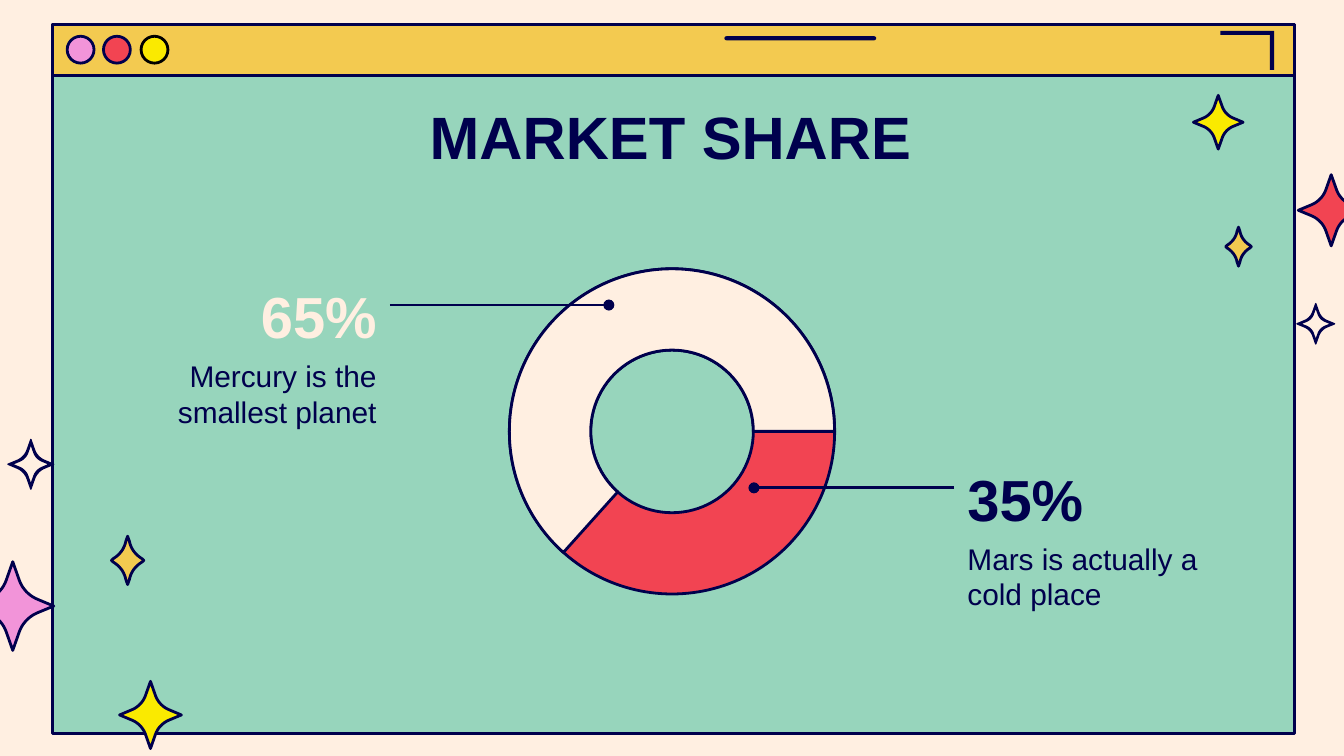
from lxml import etree
from pptx import Presentation
from pptx.dml.color import RGBColor
from pptx.enum.shapes import MSO_CONNECTOR, MSO_SHAPE
from pptx.enum.text import MSO_ANCHOR, PP_ALIGN
from pptx.oxml.ns import qn
from pptx.util import Pt

PX = 9144  # EMU per px, 100 px to the inch
LEFT, CENTER, RIGHT = PP_ALIGN.LEFT, PP_ALIGN.CENTER, PP_ALIGN.RIGHT
TOP = MSO_ANCHOR.TOP
RECTANGLE, OVAL, PILL = MSO_SHAPE.RECTANGLE, MSO_SHAPE.OVAL, MSO_SHAPE.ROUNDED_RECTANGLE
DONUT, BLOCK_ARC = MSO_SHAPE.DONUT, MSO_SHAPE.BLOCK_ARC
STRAIGHT = MSO_CONNECTOR.STRAIGHT

NAVY, CREAM, MINT, GOLD = "00004D", "FFEFE1", "97D5BC", "F3CA50"
RED, YELLOW, PINK, BLACK = "F24452", "FAEA00", "F294D9", "000000"


def rgb(color):
    return RGBColor.from_string(color)


def paint(shape, fill, line=NAVY, width=1.5):
    shape.shadow.inherit = False
    shape.fill.solid()
    shape.fill.fore_color.rgb = rgb(fill)
    if line:
        shape.line.color.rgb = rgb(line)
        shape.line.width = Pt(width)
    else:
        shape.line.fill.background()


# Widescreen slide, 16:9
presentation = Presentation()
presentation.slide_width = 1000 * PX
presentation.slide_height = 1000 * PX * 9 // 16
slide = presentation.slides.add_slide(presentation.slide_layouts[6])
slide.background.fill.solid()
slide.background.fill.fore_color.rgb = rgb(CREAM)
shapes = slide.shapes

# Window, title bar, its pill mark and its three buttons
for kind, left, top, width, height, fill, line in [
    (RECTANGLE, 39, 18, 924, 528, MINT, NAVY),
    (RECTANGLE, 39, 18, 924, 38, GOLD, NAVY),
    (PILL, 539, 27, 113, 3, NAVY, None),
    (OVAL, 50, 27, 20, 20, PINK, NAVY),
    (OVAL, 77, 27, 20, 20, RED, NAVY),
    (OVAL, 105, 27, 20, 20, YELLOW, BLACK),
]:
    shape = shapes.add_shape(kind, left * PX, top * PX, width * PX, height * PX)
    paint(shape, fill, line)
    if kind == PILL:
        shape.adjustments[0] = 0.5

# Corner mark in the title bar
builder = shapes.build_freeform(908, 23, scale=PX)
builder.add_line_segments([(948, 23), (948, 52), (945, 52), (945, 26), (908, 26)])
paint(builder.convert_to_shape(), NAVY, None)

# Ring: the red whole, with the cream share over it
for kind, adjustments, fill in [
    (DONUT, [0.25], RED),
    (BLOCK_ARC, [79.14, 0, 0.25], CREAM),
]:
    ring = shapes.add_shape(kind, 379 * PX, 200 * PX, 242 * PX, 242 * PX)
    for index, value in enumerate(adjustments):
        ring.adjustments[index] = value
    paint(ring, fill)

# Title, percentages and captions
boxes = {}
for text, left, top, width, height, size, color, bold, align in [
    ("MARKET SHARE", 76, 64, 846, 63, 32, NAVY, True, CENTER),
    ("65%", 159, 199, 131, 56, 31, CREAM, True, RIGHT),
    ("Mercury is the smallest planet", 91, 256, 199, 67, 16, NAVY, False, RIGHT),
    ("35%", 710, 335, 131, 56, 31, NAVY, True, LEFT),
    ("Mars is actually a cold place", 710, 392, 199, 67, 16, NAVY, False, LEFT),
]:
    box = shapes.add_textbox(left * PX, top * PX, width * PX, height * PX)
    frame = box.text_frame
    frame.word_wrap = True
    frame.vertical_anchor = TOP
    frame.margin_left = frame.margin_right = 10 * PX
    frame.margin_top = frame.margin_bottom = 10 * PX
    frame.text = text
    paragraph = frame.paragraphs[0]
    paragraph.alignment = align
    font = paragraph.runs[0].font
    font.name, font.size, font.bold = "Arial", Pt(size), bold
    font.color.rgb = rgb(color)
    boxes[text] = box

# Leader lines from each percentage to its share
for label, side, end_x, y in [("65%", 3, 453, 227), ("35%", 1, 561, 363)]:
    leader = shapes.add_connector(STRAIGHT, 0, y * PX, end_x * PX, y * PX)
    leader.begin_connect(boxes[label], side)
    leader.line.color.rgb = rgb(NAVY)
    leader.line.width = Pt(1.5)
    etree.SubElement(leader.line._get_or_add_ln(), qn("a:tailEnd"), type="oval")
    etree.SubElement(leader._element.spPr, qn("a:effectLst"))

# Sparkles: each side is a Bézier between two tips, given in half widths and heights
WIDE = [(0.16, 0.58), (0.24, 0.38), (0.4, 0.23), (0.61, 0.15)]
SLIM = [(0.11, 0.79), (0.22, 0.43), (0.55, 0.21), (0.89, 0.07)]
STEPS = 10
for left, top, width, height, fill, curve, hollow in [
    (912, 169, 19, 29, GOLD, SLIM, False),
    (965, 226, 28, 30, NAVY, WIDE, True),
    (888, 71, 37, 40, YELLOW, WIDE, False),
    (966, 130, 49, 53, RED, WIDE, False),
    (83, 399, 24, 36, GOLD, SLIM, False),
    (6, 327, 34, 37, NAVY, WIDE, True),
    (89, 507, 46, 50, YELLOW, WIDE, False),
    (-21, 418, 61, 66, PINK, WIDE, False),
]:
    side = [(0, 1)]
    for step in range(STEPS + 1):
        t = step / STEPS
        weights = [(1 - t) ** 3, 3 * t * (1 - t) ** 2, 3 * t * t * (1 - t), t ** 3]
        side.append(tuple(sum(w * p[axis] for w, p in zip(weights, curve)) for axis in (0, 1)))
    side.append((1, 0))
    back = side[::-1]
    outline = side + [(x, -y) for x, y in back] + [(-x, -y) for x, y in side] + [(-x, y) for x, y in back]

    builder = None
    for ratio in (1, 0.82) if hollow else (1,):
        points = [
            (round((left + width / 2 * (1 + ratio * x)) * PX), round((top + height / 2 * (1 - ratio * y)) * PX))
            for x, y in outline
        ]
        if builder is None:
            builder = shapes.build_freeform(*points[0], scale=1.0)
        else:
            builder.move_to(*points[0])
        builder.add_line_segments(points[1:])
    paint(builder.convert_to_shape(), fill, NAVY, 0.75 if hollow else 1.5)

presentation.save("out.pptx")
